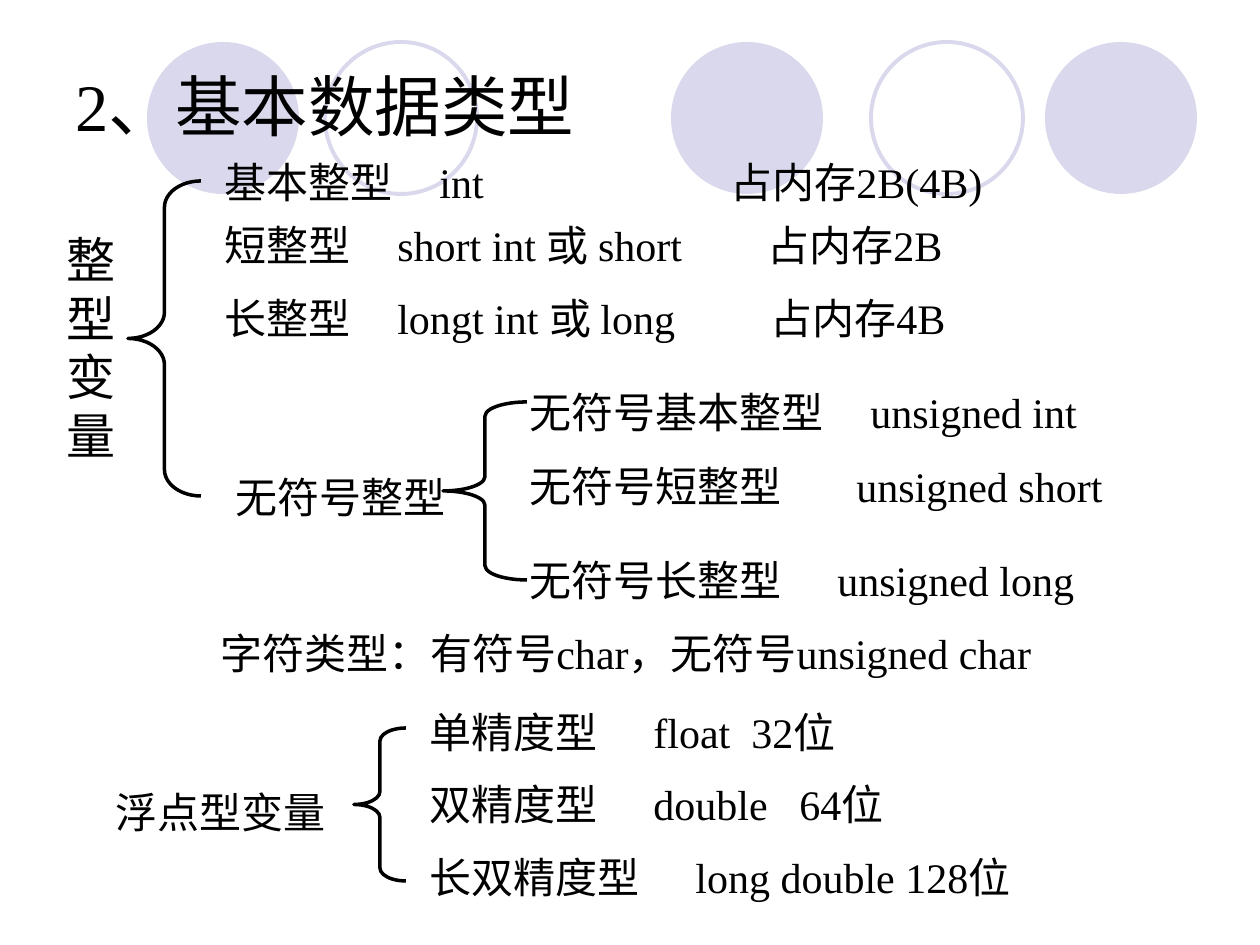
import lxml.etree
import pptx
import pptx.dml.color
import pptx.enum.shapes
import pptx.enum.text
import pptx.oxml.ns
import pptx.util

EMU_PER_PX = 914400 / 126
INSET = 13
INK, LILAC, WHITE = "000000", "D9D8EC", "FFFFFF"
SHAPES = pptx.enum.shapes.MSO_SHAPE
ANCHORS = pptx.enum.text.MSO_ANCHOR


def px(length):
    return pptx.util.Emu(round(length * EMU_PER_PX))


def color(hex_value):
    return pptx.dml.color.RGBColor.from_string(hex_value)


class SlideBuilder:
    font_name = "Times New Roman"
    body_size = 24

    def __init__(self, presentation):
        self.slide = presentation.slides.add_slide(presentation.slide_layouts[6])

    def preset(self, kind, box, fill=None, line=None, line_width=2):
        shape = self.slide.shapes.add_shape(kind, *map(px, box))
        shape.shadow.inherit = False
        if fill:
            shape.fill.solid()
            shape.fill.fore_color.rgb = color(fill)
        else:
            shape.fill.background()
        if line:
            shape.line.color.rgb = color(line)
            shape.line.width = pptx.util.Pt(line_width)
        else:
            shape.line.fill.background()
        return shape

    def circle(self, left, top, filled):
        style = {"fill": LILAC} if filled else {"line": LILAC, "line_width": 2.25}
        self.preset(SHAPES.OVAL, (left, top, 152, 152), **style)

    def brace(self, box, curl):
        """Left brace; curl is the corner height as a share of the shorter side."""
        self.preset(SHAPES.LEFT_BRACE, box, line=INK).adjustments[0] = curl

    def text(self, box, words, stops=(), size=body_size, anchor=ANCHORS.TOP,
             fill=None, wrap=True):
        """Text box; stops are the slide x positions of its tabbed columns."""
        text_box = self.slide.shapes.add_textbox(*map(px, box))
        if fill:
            text_box.fill.solid()
            text_box.fill.fore_color.rgb = color(fill)
        frame = text_box.text_frame
        frame.word_wrap = wrap
        frame.vertical_anchor = anchor
        paragraph = frame.paragraphs[0]
        paragraph.text = words
        paragraph.alignment = pptx.enum.text.PP_ALIGN.LEFT
        if stops:
            self.add_tabs(paragraph, [stop - box[0] - INSET for stop in stops])
        paragraph.font.name = self.font_name
        paragraph.font.size = pptx.util.Pt(size)
        paragraph.font.color.rgb = color(INK)

    def add_tabs(self, paragraph, offsets):
        qn = pptx.oxml.ns.qn
        properties = paragraph._p.get_or_add_pPr()
        tab_list = lxml.etree.SubElement(properties, qn("a:tabLst"))
        for offset in offsets:
            lxml.etree.SubElement(tab_list, qn("a:tab"), pos=str(px(offset)), algn="l")

    def rows(self, left, width, entries):
        for top, height, words, stops in entries:
            self.text((left, top, width, height), words, stops)


def main():
    presentation = pptx.Presentation()
    presentation.slide_width, presentation.slide_height = px(1260), px(945)
    builder = SlideBuilder(presentation)

    for left, top, filled in [(671, 42, True), (1045, 42, True), (147, 42, True),
                              (871, 42, False), (325, 42, False)]:
        builder.circle(left, top, filled)
    builder.text((63, 26, 1134, 158), "2、基本数据类型", size=38, anchor=ANCHORS.MIDDLE)

    builder.text((84 + 19, 780, 309, 63), "浮点型变量")
    builder.brace((354, 728, 52, 153), 0.25)
    builder.rows(417, 725, [
        (700, 63, "单精度型\tfloat\t32位", (654, 752)),
        (772, 63, "双精度型\tdouble\t64位", (654, 800)),
        (845, 63, "长双精度型\tlong double 128位", (696,)),
    ])

    builder.text((208, 621, 866, 63), "字符类型：有符号char，无符号unsigned char",
                 fill=WHITE, wrap=False)

    builder.text((54, 223, 73, 248), "整型变量", size=28)
    builder.brace((128, 181, 73, 315), 0.36)
    builder.rows(212, 892, [
        (150, 113, "基本整型\tint\t占内存2B(4B)", (440, 731)),
        (213, 63, "短整型\tshort int 或 short\t占内存2B", (398, 768)),
        (286, 63, "长整型\tlongt int 或 long\t占内存4B", (398, 771)),
    ])

    builder.text((223, 465, 242, 113), "无符号整型")
    builder.brace((443, 402, 84, 178), 0.17)
    builder.rows(517, 693, [
        (380, 113, "无符号基本整型\tunsigned int", (871,)),
        (454, 113, "无符号短整型\tunsigned short", (857,)),
        (548, 63, "无符号长整型\tunsigned long", (838,)),
    ])

    presentation.save("out.pptx")


if __name__ == "__main__":
    main()
